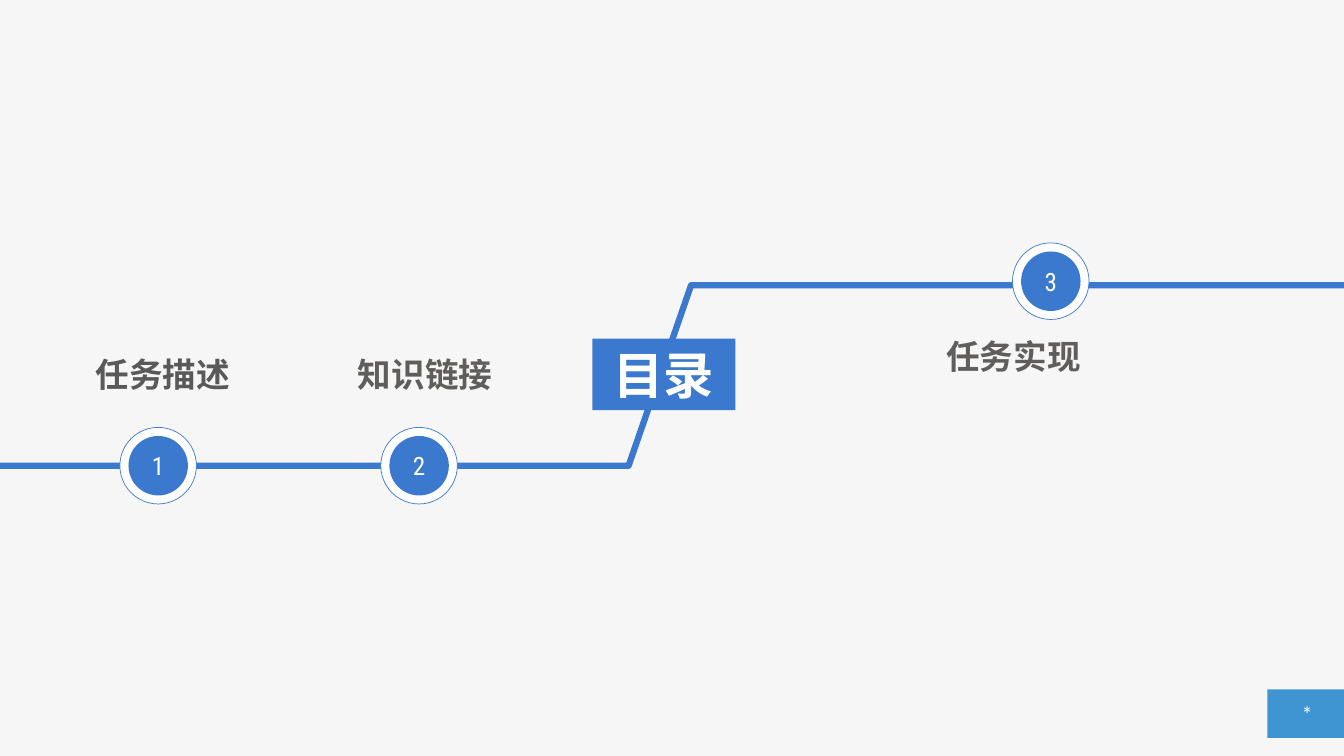
from lxml import etree
from pptx import Presentation
from pptx.dml.color import RGBColor
from pptx.enum.shapes import MSO_SHAPE
from pptx.enum.text import MSO_ANCHOR, PP_ALIGN
from pptx.oxml.ns import qn
from pptx.util import Inches, Pt

RECTANGLE, OVAL = MSO_SHAPE.RECTANGLE, MSO_SHAPE.OVAL
TOP, MIDDLE = MSO_ANCHOR.TOP, MSO_ANCHOR.MIDDLE
LEFT, CENTER = PP_ALIGN.LEFT, PP_ALIGN.CENTER

BLUE = RGBColor(0x3B, 0x79, 0xCE)
CORNER_BLUE = RGBColor(0x3F, 0x95, 0xD2)
PAPER = RGBColor(0xF6, 0xF6, 0xF6)
WHITE = RGBColor(0xFF, 0xFF, 0xFF)
DARK_GRAY = RGBColor(0x59, 0x59, 0x59)
WARM_GRAY = RGBColor(0x5F, 0x5E, 0x5C)

HAN_FONT = "Noto Sans CJK SC"
HAN_FONT_JP = "Noto Sans CJK JP"
NUMBER_FONT = "Roboto Condensed"
PAGE_FONT = "Calibri"

# Content: title, page mark and the agenda stops along the track
TITLE = "目录"
PAGE_MARK = "*"
TRACK = [(0, 4.62), (6.24, 4.62), (6.86, 2.83), (13.34, 2.83)]
STOPS = [  # label, label left, top, width, font, colour, disc centre x, y
    ("任务描述", 0.45, 3.46, 2.33, HAN_FONT_JP, DARK_GRAY, 1.57, 4.62),
    ("知识链接", 2.63, 3.46, 3.18, HAN_FONT, WARM_GRAY, 4.16, 4.62),
    ("任务实现", 8.87, 3.28, 2.38, HAN_FONT, WARM_GRAY, 10.43, 2.79),
]
LABEL_HEIGHT = 0.5
RING_SIZE, DISC_SIZE = 0.76, 0.59


def add_block(page, kind, left, top, width, height, fill, outline=None):
    block = page.shapes.add_shape(
        kind, Inches(left), Inches(top), Inches(width), Inches(height))
    block.shadow.inherit = False
    block.fill.solid()
    block.fill.fore_color.rgb = fill
    if outline is None:
        block.line.fill.background()
    else:
        block.line.color.rgb = outline
        block.line.width = Pt(0.5)
    return block


def add_box(page, left, top, width, height):
    return page.shapes.add_textbox(
        Inches(left), Inches(top), Inches(width), Inches(height))


def write(box, text, size, font, color, bold=False, align=CENTER,
          anchor=TOP, wrap=True):
    frame = box.text_frame
    frame.word_wrap = wrap
    frame.vertical_anchor = anchor
    para = frame.paragraphs[0]
    para.text = text
    para.alignment = align
    para.font.size = Pt(size)
    para.font.bold = bold
    para.font.color.rgb = color
    para.font.name = font
    # Chinese characters take the East Asian font
    latin = para.font._element.find(qn("a:latin"))
    east_asian = etree.Element(qn("a:ea"), typeface=font)
    latin.addnext(east_asian)


def add_disc(page, center_x, center_y, size, fill, outline=None):
    return add_block(page, OVAL, center_x - size / 2, center_y - size / 2,
                     size, size, fill, outline)


def main():
    deck = Presentation()
    deck.slide_width, deck.slide_height = Inches(13.34), Inches(7.5)
    page = deck.slides.add_slide(deck.slide_layouts[6])
    page.background.fill.solid()
    page.background.fill.fore_color.rgb = PAPER

    # Page mark in the corner
    add_block(page, RECTANGLE, 12.58, 6.84, 0.76, 0.48, CORNER_BLUE)
    write(add_box(page, 12.82, 6.9, 0.52, 0.37), PAGE_MARK, 16, PAGE_FONT,
          WHITE, align=LEFT, wrap=False)

    # Track
    points = [(Inches(x), Inches(y)) for x, y in TRACK]
    builder = page.shapes.build_freeform(*points[0])
    builder.add_line_segments(points[1:], close=False)
    track = builder.convert_to_shape()
    track.shadow.inherit = False
    track.fill.background()
    track.line.color.rgb = BLUE
    track.line.width = Pt(4.5)

    # Numbered stops
    for number, stop in enumerate(STOPS, 1):
        label, left, top, width, font, color, center_x, center_y = stop
        add_disc(page, center_x, center_y, RING_SIZE, WHITE, BLUE)
        disc = add_disc(page, center_x, center_y, DISC_SIZE, BLUE)
        write(disc, str(number), 18, NUMBER_FONT, WHITE, anchor=MIDDLE)
        write(add_box(page, left, top, width, LABEL_HEIGHT), label, 24, font,
              color, bold=True)

    # Title plate
    plate = add_block(page, RECTANGLE, 5.88, 3.36, 1.42, 0.71, BLUE)
    write(plate, TITLE, 36, HAN_FONT, WHITE, bold=True)

    deck.save("out.pptx")


if __name__ == "__main__":
    main()
